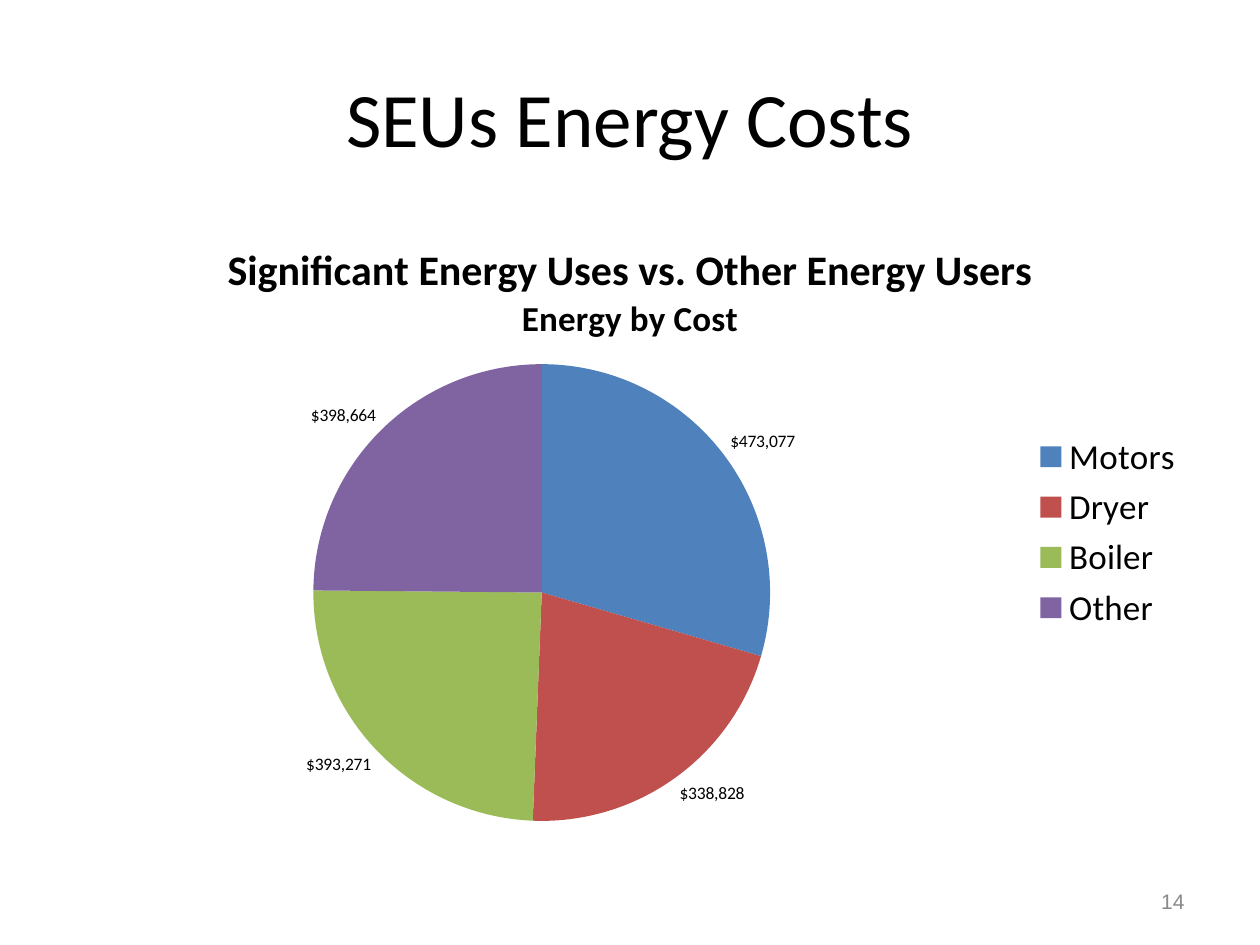
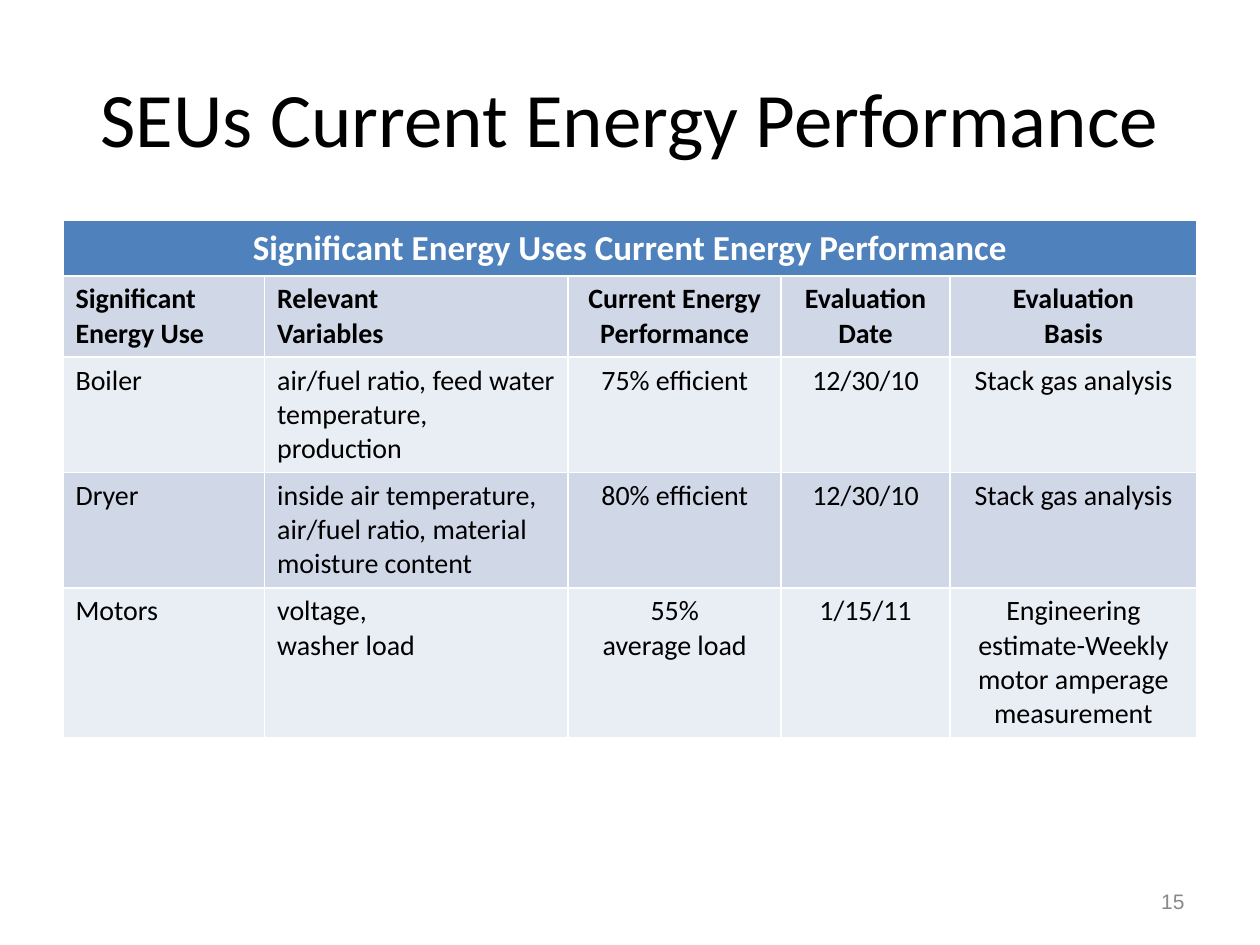
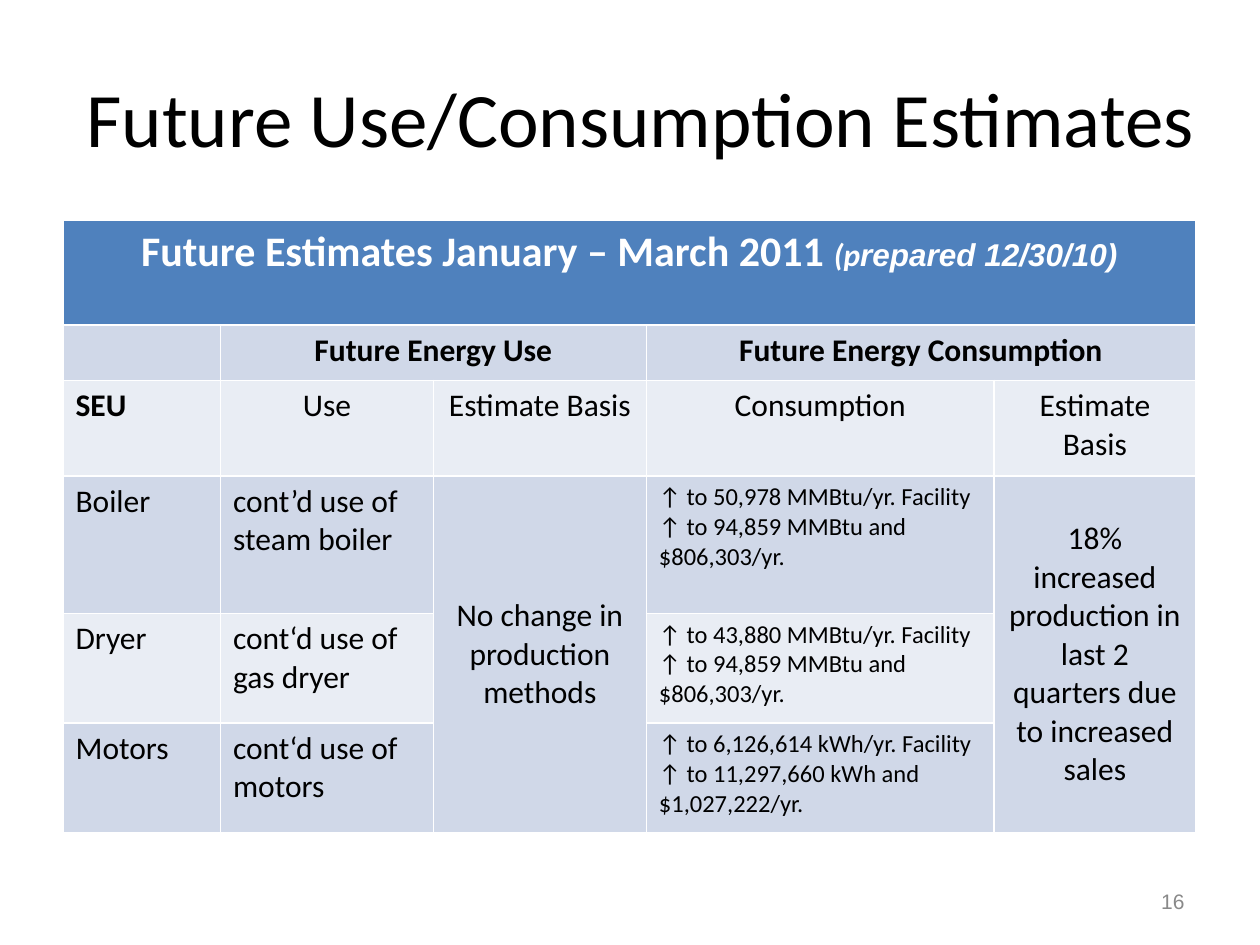
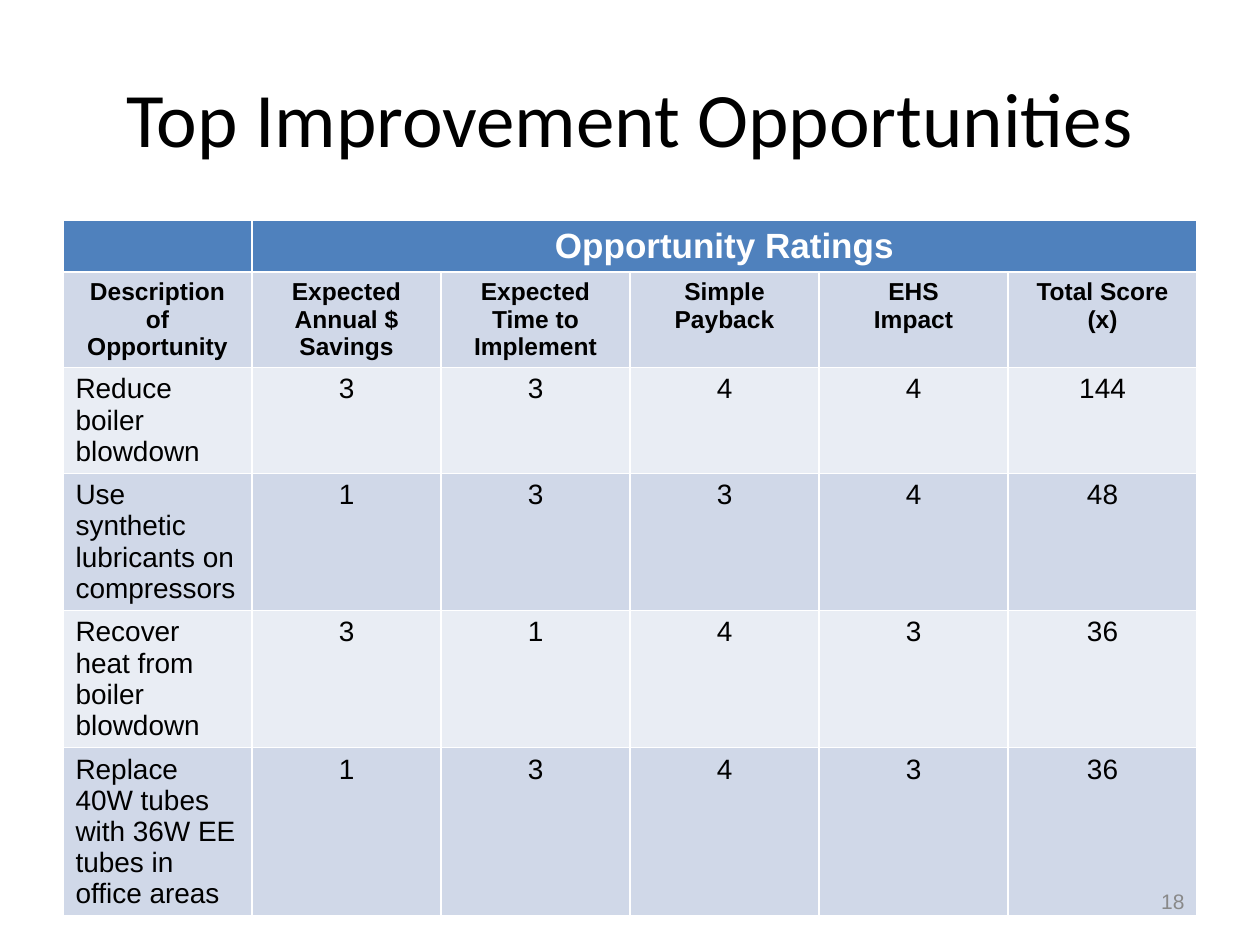
from pptx import Presentation
from pptx.chart.data import CategoryChartData
from pptx.dml.color import RGBColor
from pptx.enum.chart import XL_CHART_TYPE, XL_LABEL_POSITION, XL_LEGEND_POSITION
from pptx.enum.text import MSO_ANCHOR, PP_ALIGN
from pptx.util import Inches, Pt

BLACK = RGBColor(0x00, 0x00, 0x00)
WHITE = RGBColor(0xFF, 0xFF, 0xFF)
GRAY = RGBColor(0x89, 0x89, 0x89)
BLUE = RGBColor(0x4F, 0x81, 0xBD)
RED = RGBColor(0xC0, 0x50, 0x4D)
GREEN = RGBColor(0x9B, 0xBB, 0x59)
PURPLE = RGBColor(0x80, 0x64, 0xA2)
BANDS = [RGBColor(0xE9, 0xED, 0xF4), RGBColor(0xD0, 0xD8, 0xE8)]

LEFT, TOP, WIDTH = Inches(0.5), Inches(1.75), Inches(9)


def style_text(text_frame, size, color, align, font="Calibri", bold=False):
    """Give every run of a text frame the same font, and align its paragraphs."""
    for paragraph in text_frame.paragraphs:
        paragraph.alignment = align
        for run in paragraph.runs:
            run.font.name = font
            run.font.size = Pt(size)
            run.font.bold = bold
            run.font.color.rgb = color


def add_banded_table(slide, widths, heights, rows, sizes, merges, left_columns, font="Calibri"):
    """Add a table with a blue header, a bold second row and banded body rows."""
    frame = slide.shapes.add_table(len(rows), len(widths), LEFT, TOP, WIDTH, Inches(sum(heights)))
    table = frame.table
    for column, width in zip(table.columns, widths):
        column.width = Inches(width)
    for row, height in zip(table.rows, heights):
        row.height = Inches(height)
    for first_row, first_column, last_row, last_column in merges:
        table.cell(first_row, first_column).merge(table.cell(last_row, last_column))
    for r, texts in enumerate(rows):
        for c, text in enumerate(texts):
            cell = table.cell(r, c)
            cell.fill.solid()
            cell.fill.fore_color.rgb = BLUE if r == 0 else BANDS[r % 2]
            if text:
                cell.text_frame.text = text
                align = PP_ALIGN.LEFT if r > 0 and c in left_columns else PP_ALIGN.CENTER
                style_text(cell.text_frame, sizes[r], WHITE if r == 0 else BLACK, align, font, r < 2)
    return table


presentation = Presentation()
presentation.slide_width = Inches(10)
presentation.slide_height = Inches(7.5)

# Titles
slides = []
for title_text, title_width in [
    ("SEUs Energy Costs", 9),
    ("SEUs Current Energy Performance", 9),
    ("Future Use/Consumption Estimates", 9.17),
    ("Top Improvement Opportunities", 9),
]:
    slide = presentation.slides.add_slide(presentation.slide_layouts[5])
    title = slide.shapes.title
    title.left, title.top = LEFT, Inches(0.3)
    title.width, title.height = Inches(title_width), Inches(1.25)
    title.text_frame.text = title_text
    title.text_frame.vertical_anchor = MSO_ANCHOR.MIDDLE
    style_text(title.text_frame, 44, BLACK, PP_ALIGN.CENTER)
    slides.append(slide)
cost_slide, performance_slide, estimate_slide, opportunity_slide = slides

# Energy costs
cost_data = CategoryChartData(number_format='"$"#,##0')
cost_data.categories = ["Motors", "Dryer", "Boiler", "Other"]
cost_data.add_series("Series 1", [473077, 338828, 393271, 398664])
chart = cost_slide.shapes.add_chart(
    XL_CHART_TYPE.PIE, LEFT, TOP, WIDTH, Inches(4.95), cost_data
).chart
chart.font.name = "Calibri"
chart.font.size = Pt(10)
chart.font.color.rgb = BLACK

chart.has_title = True
chart_title = chart.chart_title.text_frame
chart_title.text = "Significant Energy Uses vs. Other Energy Users\nEnergy by Cost"
style_text(chart_title, 24, BLACK, PP_ALIGN.CENTER, bold=True)
chart_title.paragraphs[1].runs[0].font.size = Pt(20)

chart.has_legend = True
chart.legend.position = XL_LEGEND_POSITION.RIGHT
chart.legend.include_in_layout = False
chart.legend.font.size = Pt(20)

plot = chart.plots[0]
plot.vary_by_categories = True
plot.has_data_labels = True
labels = plot.data_labels
labels.show_value = True
labels.show_percentage = False
labels.number_format = '"$"#,##0'
labels.number_format_is_linked = False
labels.position = XL_LABEL_POSITION.OUTSIDE_END
for index, color in enumerate([BLUE, RED, GREEN, PURPLE]):
    fill = plot.series[0].points[index].format.fill
    fill.solid()
    fill.fore_color.rgb = color

# Current energy performance
add_banded_table(
    performance_slide,
    widths=[1.6, 2.41, 1.69, 1.34, 1.96],
    heights=[0.43, 0.63, 0.9, 0.9, 1.17],
    rows=[
        ["Significant Energy Uses Current Energy Performance", "", "", "", ""],
        ["Significant Energy Use", "Relevant\nVariables", "Current Energy Performance",
         "Evaluation Date", "Evaluation\nBasis"],
        ["Boiler", "air/fuel ratio, feed water temperature, production", "75% efficient",
         "12/30/10", "Stack gas analysis"],
        ["Dryer", "inside air temperature, air/fuel ratio, material moisture content",
         "80% efficient", "12/30/10", "Stack gas analysis"],
        ["Motors", "voltage,\nwasher load", "55%\naverage load", "1/15/11",
         "Engineering estimate-Weekly motor amperage measurement"],
    ],
    sizes=[20, 16, 16, 16, 16],
    merges=[(0, 0, 0, 4)],
    left_columns=[0, 1],
)

# Future estimates
estimates = add_banded_table(
    estimate_slide,
    widths=[1.25, 1.69, 1.69, 2.76, 1.6],
    heights=[0.83, 0.44, 0.76, 1.09, 0.87, 0.87],
    rows=[
        ["Future Estimates January – March 2011 ", "", "", "", ""],
        ["", "Future Energy Use", "", "Future Energy Consumption", ""],
        ["SEU", "Use", "Estimate Basis", "Consumption", "Estimate Basis"],
        ["Boiler", "cont’d use of steam boiler", "No change in production methods",
         "↑ to 50,978 MMBtu/yr. Facility ↑ to 94,859 MMBtu and $806,303/yr.",
         "18% increased production in last 2 quarters due to increased sales"],
        ["Dryer", "cont‘d use of gas dryer", "",
         "↑ to 43,880 MMBtu/yr. Facility ↑ to 94,859 MMBtu and $806,303/yr.", ""],
        ["Motors", "cont‘d use of motors", "",
         "↑ to 6,126,614 kWh/yr. Facility ↑ to 11,297,660 kWh and $1,027,222/yr.", ""],
    ],
    sizes=[24, 18, 18, 18, 18, 18],
    merges=[(0, 0, 0, 4), (1, 1, 1, 2), (1, 3, 1, 4), (3, 2, 5, 2), (3, 4, 5, 4)],
    left_columns=[0],
)
heading = estimates.cell(0, 0).text_frame.paragraphs[0]
for text, font_name in [("(p", "Calibri"), ("repared 12/30/10)", "Arial")]:
    run = heading.add_run()
    run.text = text
    run.font.name = font_name
    run.font.size = Pt(18)
    run.font.bold = run.font.italic = True
    run.font.color.rgb = WHITE
estimates.cell(2, 0).text_frame.paragraphs[0].runs[0].font.bold = True
for r in range(3, 6):
    style_text(estimates.cell(r, 1).text_frame, 18, BLACK, PP_ALIGN.LEFT)
    style_text(estimates.cell(r, 3).text_frame, 14, BLACK, PP_ALIGN.LEFT)
for c in (2, 4):
    estimates.cell(3, c).vertical_anchor = MSO_ANCHOR.MIDDLE

# Improvement opportunities
opportunities = add_banded_table(
    opportunity_slide,
    widths=[1.5] * 6,
    heights=[0.41] * 6,
    rows=[
        ["", "Opportunity Ratings", "", "", "", ""],
        ["Description of Opportunity", "Expected Annual $ Savings", "Expected Time to Implement",
         "Simple Payback", "EHS\nImpact", "Total Score (x)"],
        ["Reduce boiler blowdown", "3", "3", "4", "4", "144"],
        ["Use synthetic lubricants on compressors", "1", "3", "3", "4", "48"],
        ["Recover heat from boiler blowdown", "3", "1", "4", "3", "36"],
        ["Replace 40W tubes with 36W EE tubes in office areas", "1", "3", "4", "3", "36"],
    ],
    sizes=[20, 14, 16, 16, 16, 16],
    merges=[(0, 1, 0, 5)],
    left_columns=[0],
    font="Arial",
)
opportunities.cell(1, 0).text_frame.paragraphs[0].alignment = PP_ALIGN.CENTER

# Slide numbers, in front of the tables
for slide, number in zip(slides, ["14", "15", "16", "18"]):
    number_box = slide.shapes.add_textbox(Inches(7.17), Inches(6.95), Inches(2.33), Inches(0.4))
    number_box.text_frame.word_wrap = True
    number_box.text_frame.vertical_anchor = MSO_ANCHOR.MIDDLE
    number_box.text_frame.text = number
    style_text(number_box.text_frame, 12, GRAY, PP_ALIGN.RIGHT, "Arial")

presentation.save("out.pptx")
